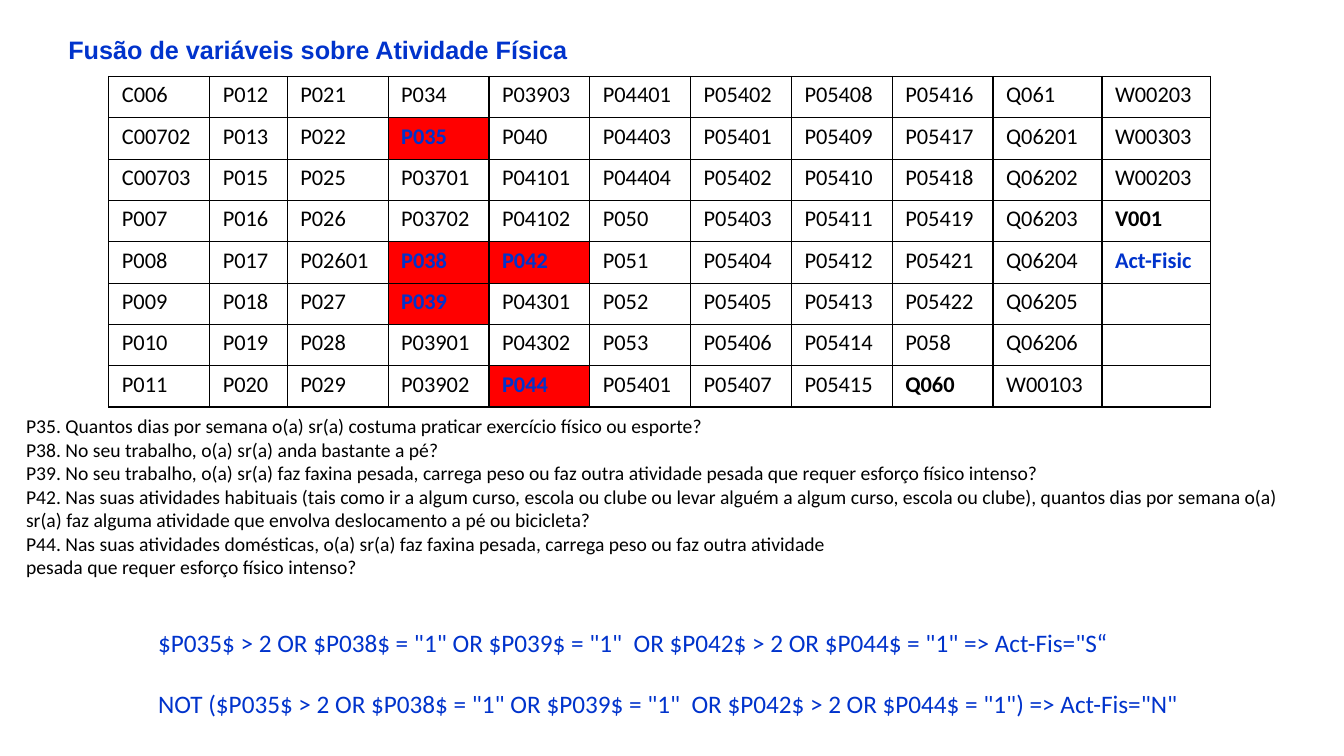
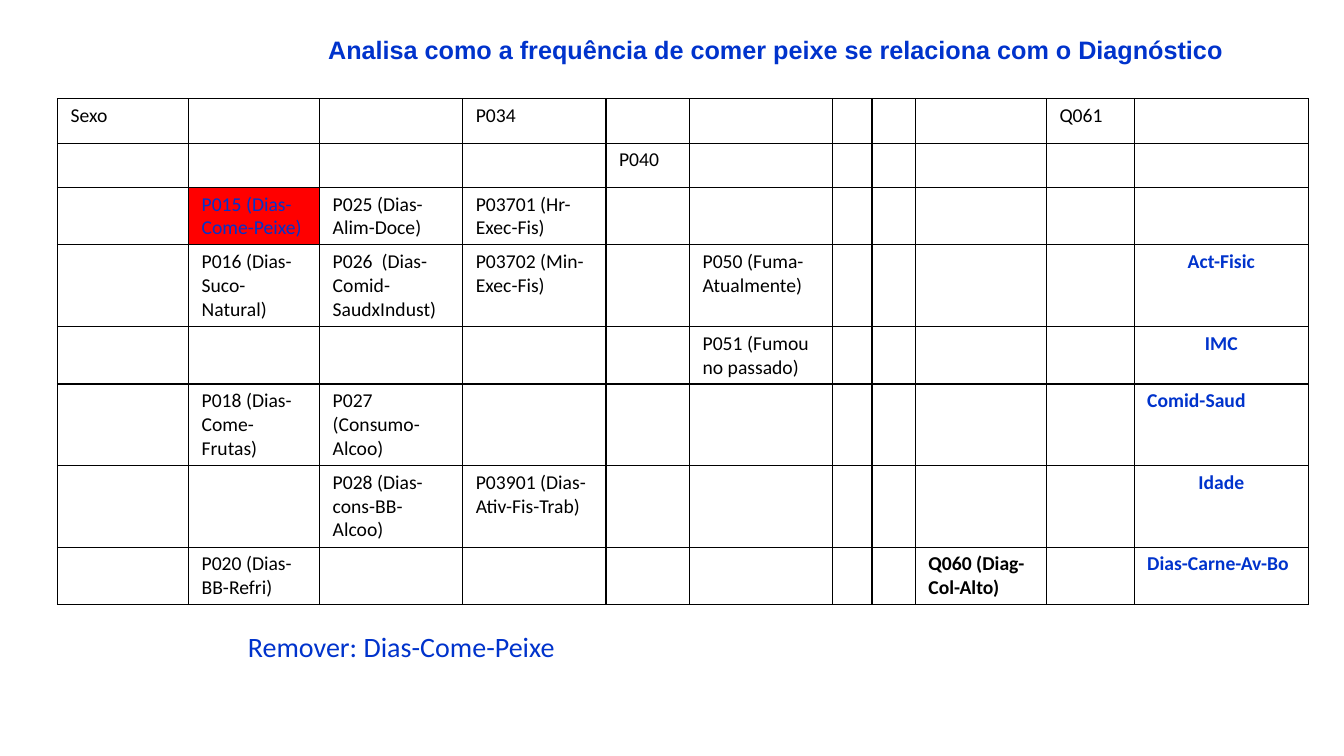
from lxml import etree
from pptx import Presentation
from pptx.dml.color import RGBColor
from pptx.enum.text import PP_ALIGN as Align
from pptx.oxml.ns import qn
from pptx.util import Pt

PX = 9144
BLUE = RGBColor(0x00, 0x33, 0xCC)
BLACK = RGBColor(0x00, 0x00, 0x00)
WHITE = RGBColor(0xFF, 0xFF, 0xFF)
RED = RGBColor(0xFF, 0x00, 0x00)

TITLE = dict(name="Arial", size=Pt(18), bold=True, color=BLUE)
QUESTION = dict(name="Calibri", size=Pt(14), bold=False, color=BLACK)
RULE = dict(QUESTION, size=Pt(18), color=BLUE)
REMARK = dict(RULE, size=Pt(20))
CODE = dict(QUESTION, size=Pt(16))

STRONG = dict(bold=True)
DERIVED = dict(bold=True, color=BLUE)
CENTERED = dict(DERIVED, align=Align.CENTER)
SELECTED = dict(DERIVED, fill=RED)
REMOVED = dict(color=BLUE, fill=RED)

ACTIVITY_WIDTHS = [100, 77] + [100] * 7 + [108] * 2
ACTIVITY_HEIGHTS = [41] * 8
ACTIVITY_ROWS = """
C006 P012 P021 P034 P03903 P04401 P05402 P05408 P05416 Q061 W00203
C00702 P013 P022 P035 P040 P04403 P05401 P05409 P05417 Q06201 W00303
C00703 P015 P025 P03701 P04101 P04404 P05402 P05410 P05418 Q06202 W00203
P007 P016 P026 P03702 P04102 P050 P05403 P05411 P05419 Q06203 V001
P008 P017 P02601 P038 P042 P051 P05404 P05412 P05421 Q06204 Act-Fisic
P009 P018 P027 P039 P04301 P052 P05405 P05413 P05422 Q06205
P010 P019 P028 P03901 P04302 P053 P05406 P05414 P058 Q06206
P011 P020 P029 P03902 P044 P05401 P05407 P05415 Q060 W00103
"""
ACTIVITY_CELLS = {
    (row, column): code
    for row, line in enumerate(ACTIVITY_ROWS.strip().splitlines())
    for column, code in enumerate(line.split())
}
ACTIVITY_STYLES = {
    **dict.fromkeys(["P035", "P038", "P039", "P042", "P044"], SELECTED),
    **dict.fromkeys(["V001", "Q060"], STRONG),
    "Act-Fisic": DERIVED,
}

FISH_WIDTHS = [130, 130, 142, 142, 83, 142, 39, 43, 130, 87, 173]
FISH_HEIGHTS = [44, 44, 57, 81, 57, 81, 81, 57]
FISH_CELLS = {
    (0, 0): "Sexo",
    (0, 3): "P034",
    (0, 9): "Q061",
    (1, 4): "P040",
    (2, 1): "P015 (Dias-Come-Peixe)",
    (2, 2): "P025 (Dias-Alim-Doce)",
    (2, 3): "P03701 (Hr-Exec-Fis)",
    (3, 1): "P016 (Dias-Suco-Natural)",
    (3, 2): "P026  (Dias-Comid-SaudxIndust)",
    (3, 3): "P03702 (Min-Exec-Fis)",
    (3, 5): "P050 (Fuma-Atualmente)",
    (3, 10): "Act-Fisic",
    (4, 5): "P051 (Fumou no passado)",
    (4, 10): "IMC",
    (5, 1): "P018 (Dias-Come-Frutas)",
    (5, 2): "P027 (Consumo-Alcoo)",
    (5, 10): "Comid-Saud",
    (6, 2): "P028 (Dias-cons-BB-Alcoo)",
    (6, 3): "P03901 (Dias-Ativ-Fis-Trab)",
    (6, 10): "Idade",
    (7, 1): "P020 (Dias-BB-Refri)",
    (7, 8): "Q060 (Diag-Col-Alto)",
    (7, 10): "Dias-Carne-Av-Bo",
}
FISH_STYLES = {
    "P015 (Dias-Come-Peixe)": REMOVED,
    "Q060 (Diag-Col-Alto)": STRONG,
    **dict.fromkeys(["Act-Fisic", "IMC", "Idade"], CENTERED),
    **dict.fromkeys(["Comid-Saud", "Dias-Carne-Av-Bo"], DERIVED),
}

QUESTIONS = [
    "P35. Quantos dias por semana o(a) sr(a) costuma praticar exercício físico ou esporte?",
    "P38. No seu trabalho, o(a) sr(a) anda bastante a pé?",
    "P39. No seu trabalho, o(a) sr(a) faz faxina pesada, carrega peso ou faz outra "
    "atividade pesada que requer esforço físico intenso?",
    "P42. Nas suas atividades habituais (tais como ir a algum curso, escola ou clube ou "
    "levar alguém a algum curso, escola ou clube), quantos dias por semana o(a) sr(a) faz "
    "alguma atividade que envolva deslocamento a pé ou bicicleta?",
    "P44. Nas suas atividades domésticas, o(a) sr(a) faz faxina pesada, carrega peso ou "
    "faz outra atividade",
    "pesada que requer esforço físico intenso?",
]
RULES = [
    '$P035$ > 2 OR $P038$ = "1" OR $P039$ = "1"  OR $P042$ > 2 OR $P044$ = "1" => Act-Fis="S“',
    'NOT ($P035$ > 2 OR $P038$ = "1" OR $P039$ = "1"  OR $P042$ > 2 OR $P044$ = "1") => Act-Fis="N"',
]


def write(para, text, style):
    para.alignment = style.get("align", Align.LEFT)
    span = para.add_run()
    span.text = text
    for key in ("name", "size", "bold"):
        setattr(span.font, key, style[key])
    span.font.color.rgb = style["color"]


def add_text(page, place, lines, style, gap=0):
    box = page.shapes.add_textbox(*(value * PX for value in place))
    frame = box.text_frame
    frame.word_wrap = True
    for index, line in enumerate(lines):
        para = frame.add_paragraph() if index else frame.paragraphs[0]
        if index and gap:
            para.space_before = Pt(gap)
        write(para, line, style)


def add_title(page, left, text, align=Align.LEFT):
    add_text(page, (left, 29, 1155, 40), [text], dict(TITLE, align=align))


def outline(cell):
    properties = cell._tc.get_or_add_tcPr()
    for index, side in enumerate(("a:lnL", "a:lnR", "a:lnT", "a:lnB")):
        line = etree.Element(qn(side), w=str(Pt(1)))
        fill = etree.SubElement(line, qn("a:solidFill"))
        etree.SubElement(fill, qn("a:srgbClr"), val=str(BLACK))
        properties.insert(index, line)


def add_grid(page, left, top, widths, heights, texts, base, styles):
    table = page.shapes.add_table(
        len(heights), len(widths), left * PX, top * PX, sum(widths) * PX, sum(heights) * PX
    ).table
    table.first_row = table.horz_banding = False
    for column, width in zip(table.columns, widths):
        column.width = width * PX
    for row, height in zip(table.rows, heights):
        row.height = height * PX
    for row in range(len(heights)):
        for column in range(len(widths)):
            cell = table.cell(row, column)
            text = texts.get((row, column))
            style = {**base, **styles.get(text, {})}
            cell.margin_left = cell.margin_right = 13 * PX
            cell.margin_top = cell.margin_bottom = 5 * PX
            cell.fill.solid()
            cell.fill.fore_color.rgb = style.get("fill", WHITE)
            outline(cell)
            if text:
                write(cell.text_frame.paragraphs[0], text, style)


def add_activity_page(page):
    add_text(page, (147, 617, 1078, 101), RULES, RULE, gap=22)
    add_title(page, 58, "Fusão de variáveis sobre Atividade Física")
    add_grid(page, 108, 76, ACTIVITY_WIDTHS, ACTIVITY_HEIGHTS, ACTIVITY_CELLS, CODE, ACTIVITY_STYLES)
    add_text(page, (16, 406, 1291, 175), QUESTIONS, QUESTION)


def add_fish_page(page):
    title = "Analisa como a frequência de comer peixe se relaciona com o Diagnóstico"
    add_title(page, 68, title, Align.RIGHT)
    add_grid(page, 57, 98, FISH_WIDTHS, FISH_HEIGHTS, FISH_CELLS, QUESTION, FISH_STYLES)
    add_text(page, (236, 620, 903, 44), ["Remover: Dias-Come-Peixe"], REMARK)


def main():
    deck = Presentation()
    deck.slide_width, deck.slide_height = 1333 * PX, 750 * PX
    for build in (add_activity_page, add_fish_page):
        build(deck.slides.add_slide(deck.slide_layouts[6]))
    deck.save("out.pptx")


if __name__ == "__main__":
    main()
